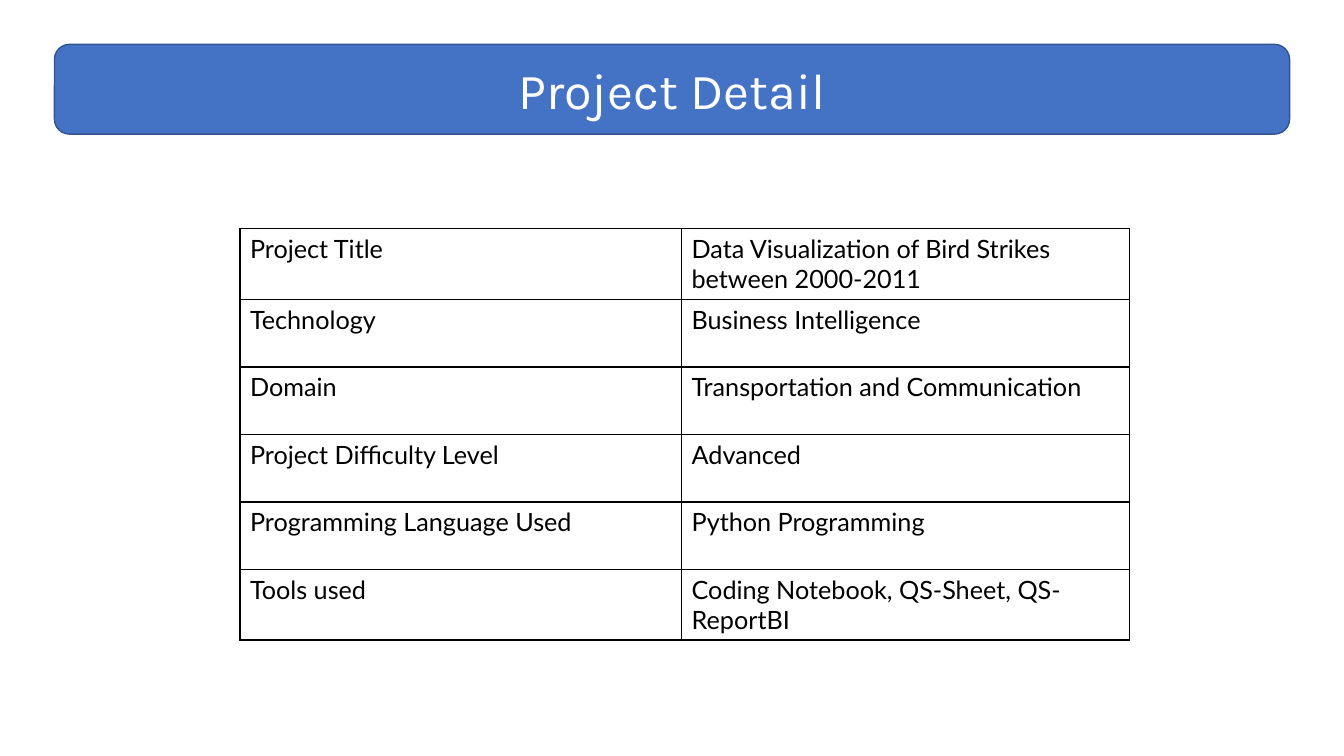
from lxml import etree
from pptx import Presentation
from pptx.dml.color import RGBColor
from pptx.enum.shapes import MSO_SHAPE
from pptx.enum.text import MSO_ANCHOR, PP_ALIGN
from pptx.oxml.ns import qn
from pptx.util import Inches, Pt

# Content
TITLE = "Project Detail"
DETAILS = [
    ("Project Title", "Data Visualization of Bird Strikes between 2000-2011"),
    ("Technology", "Business Intelligence"),
    ("Domain", "Transportation and Communication"),
    ("Project Difficulty Level", "Advanced"),
    ("Programming Language Used", "Python Programming"),
    ("Tools used", "Coding Notebook, QS-Sheet, QS-ReportBI"),
]

# Style
BLUE = RGBColor(0x44, 0x72, 0xC4)
DARK_BLUE = RGBColor(0x32, 0x54, 0x91)
WHITE = RGBColor(0xFF, 0xFF, 0xFF)
BLACK = RGBColor(0x00, 0x00, 0x00)
ROUNDED = MSO_SHAPE.ROUNDED_RECTANGLE
MIDDLE = MSO_ANCHOR.MIDDLE
CENTER = PP_ALIGN.CENTER

# Layout in inches
SLIDE_WIDTH, SLIDE_HEIGHT = 13.33, 7.5
BANNER_MARGIN, BANNER_TOP, BANNER_HEIGHT = 0.54, 0.44, 0.89
TABLE_LEFT, TABLE_TOP = 2.38, 2.27
COLUMN_WIDTHS = (4.38, 4.44)
ROW_HEIGHT = 0.67


def style_text(paragraph, font_name, size, color):
    paragraph.font.name = font_name
    paragraph.font.size = Pt(size)
    paragraph.font.color.rgb = color


def add_borders(cell):
    properties = cell._tc.get_or_add_tcPr()
    for position, side in enumerate(("a:lnL", "a:lnR", "a:lnT", "a:lnB")):
        line = etree.Element(qn(side), w=str(Pt(1)))
        fill = etree.SubElement(line, qn("a:solidFill"))
        etree.SubElement(fill, qn("a:srgbClr"), val=str(BLACK))
        properties.insert(position, line)


def add_banner(slide):
    banner = slide.shapes.add_shape(
        ROUNDED, Inches(BANNER_MARGIN), Inches(BANNER_TOP),
        Inches(SLIDE_WIDTH - 2 * BANNER_MARGIN), Inches(BANNER_HEIGHT))
    banner.shadow.inherit = False
    banner.fill.solid()
    banner.fill.fore_color.rgb = BLUE
    banner.line.color.rgb = DARK_BLUE
    banner.line.width = Pt(1)
    banner.text_frame.text = TITLE
    banner.text_frame.vertical_anchor = MIDDLE
    paragraph = banner.text_frame.paragraphs[0]
    paragraph.alignment = CENTER
    style_text(paragraph, "Karla", 36, WHITE)


def add_details(slide):
    table = slide.shapes.add_table(
        len(DETAILS), len(COLUMN_WIDTHS), Inches(TABLE_LEFT), Inches(TABLE_TOP),
        Inches(sum(COLUMN_WIDTHS)), Inches(ROW_HEIGHT * len(DETAILS))).table
    table.first_row = False
    table.horz_banding = False
    for column, width in zip(table.columns, COLUMN_WIDTHS):
        column.width = Inches(width)
    for row, texts in zip(table.rows, DETAILS):
        row.height = Inches(ROW_HEIGHT)
        for cell, text in zip(row.cells, texts):
            cell.text = text
            cell.fill.background()
            add_borders(cell)
            style_text(cell.text_frame.paragraphs[0], "Lato", 18, BLACK)


def main():
    presentation = Presentation()
    presentation.slide_width = Inches(SLIDE_WIDTH)
    presentation.slide_height = Inches(SLIDE_HEIGHT)
    slide = presentation.slides.add_slide(presentation.slide_layouts[6])
    add_banner(slide)
    add_details(slide)
    presentation.save("out.pptx")


if __name__ == "__main__":
    main()
